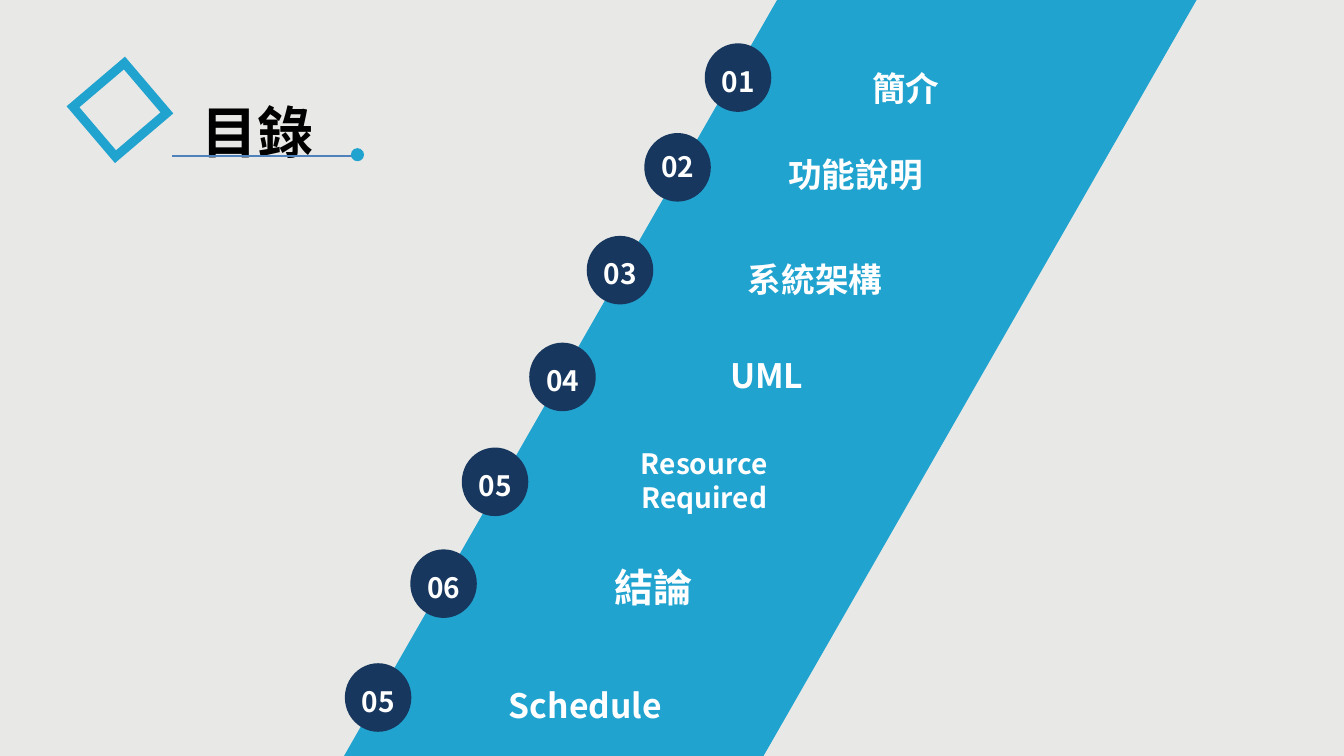
from lxml import etree
from pptx import Presentation, util as u
from pptx.dml.color import RGBColor
from pptx.enum import shapes, text
from pptx.oxml.ns import qn

W, H = u.Inches(13.33), u.Inches(7.5)
FONT = "Noto Sans CJK SC"
GREY = RGBColor(0xE8, 0xE8, 0xE6)
CYAN = RGBColor(0x21, 0xA3, 0xD0)
NAVY = RGBColor(0x17, 0x37, 0x5E)
RULE = RGBColor(0x4F, 0x81, 0xBD)
WHITE = RGBColor(0xFF, 0xFF, 0xFF)
BLACK = RGBColor(0, 0, 0)

# Percent of slide width and height
BADGE_W, BADGE_H = 4.95, 9.07
NUMBER_W, NUMBER_H = 8.55, 5.87

# number, badge x, badge y, number drop, label lines, label x, y, w, h, size
AGENDA = [
    ("01", 52.44, 5.73, 2.13, ["簡介"], 54.16, 8.27, 26.48, 6.67, 24),
    ("02", 47.94, 17.6, 1.47, ["功能說明"], 49.14, 19.73, 29.03, 6.67, 24),
    ("03", 43.66, 31.2, 2.13, ["系統架構"], 47.41, 33.6, 26.48, 6.67, 24),
    ("04", 39.38, 45.33, 2.13, ["UML"], 43.81, 46.27, 26.48, 6.67, 24),
    ("05", 34.36, 59.2, 2.13, ["Resource", "Required"],
     39.16, 58.4, 26.48, 10.27, 20),
    ("06", 30.53, 72.67, 2.13, ["結論"], 35.41, 73.87, 26.48, 7.6, 28),
    ("05", 25.66, 87.73, 2.13, ["Schedule"], 30.31, 90, 26.48, 6.67, 24),
]


def box(x, y, w, h):
    """Turn shares of the slide, in percent, into lengths."""
    return [int(side * share / 100)
            for side, share in zip((W, H, W, H), (x, y, w, h))]


def write(tf, lines, size, color, align, spacing=None):
    formats = {"word_wrap": True, "vertical_anchor": text.MSO_ANCHOR.TOP,
               "auto_size": text.MSO_AUTO_SIZE.SHAPE_TO_FIT_TEXT}
    for name, value in formats.items():
        setattr(tf, name, value)
    for i, line in enumerate(lines):
        p = tf.add_paragraph() if i else tf.paragraphs[0]
        p.alignment, p.line_spacing = align, spacing
        r = p.add_run()
        r.text = line
        for name, value in {"size": u.Pt(size), "name": FONT,
                            "bold": True}.items():
            setattr(r.font, name, value)
        r.font.color.rgb = color
        ea = etree.SubElement(r.font._element, qn("a:ea"))
        ea.set("typeface", FONT)


def paint(s, color, outline=None):
    s.shadow.inherit = False
    s.fill.solid()
    s.fill.fore_color.rgb = color
    if outline:
        s.line.color.rgb, s.line.width = outline, u.Pt(0.75)
    else:
        s.line.fill.background()


def add_preset(parent, kind, area, color, outline=None):
    s = parent.add_shape(kind, *box(*area))
    paint(s, color, outline)
    return s


def add_label(parent, lines, area, size):
    tx = parent.add_textbox(*box(*area))
    write(tx.text_frame, lines, size, WHITE, text.PP_ALIGN.CENTER)


def add_title(slide):
    title = slide.shapes.title
    title.left, title.top, title.width, title.height = box(
        14.25, 9.6, 15.23, 11.87)
    write(title.text_frame, ["目錄"], 40, BLACK, text.PP_ALIGN.LEFT, 1.3)


def add_tilted_frame(slide):
    x, y, w, h = box(6.08, 9.6, 5.7, 9.87)
    t = u.Inches(0.09)
    fb = slide.shapes.build_freeform(x, y)
    fb.add_line_segments([(x + w, y), (x + w, y + h), (x, y + h)])
    # The hole runs the other way round
    fb.move_to(x + t, y + t)
    fb.add_line_segments([(x + t, y + h - t), (x + w - t, y + h - t),
                          (x + w - t, y + t)])
    s = fb.convert_to_shape()
    s.rotation = 319.6
    paint(s, CYAN)


def add_title_rule(slide):
    right, y, left, _ = box(26.41, 20.67, 12.83, 0)
    c = slide.shapes.add_connector(shapes.MSO_CONNECTOR.STRAIGHT,
                                   right, y, left, y)
    c.line.color.rgb, c.line.width = RULE, u.Pt(1.5)
    etree.SubElement(c._element.spPr, qn("a:effectLst"))
    add_preset(slide.shapes, shapes.MSO_SHAPE.OVAL,
               (26.11, 19.6, 0.98, 1.73), CYAN)


def add_badge(slide, number, x, y, drop):
    group = slide.shapes.add_group_shape().shapes
    add_preset(group, shapes.MSO_SHAPE.OVAL, (x, y, BADGE_W, BADGE_H), NAVY)
    number_x = x + (BADGE_W - NUMBER_W) / 2
    add_label(group, [number], (number_x, y + drop, NUMBER_W, NUMBER_H), 20)


def main():
    prs = Presentation()
    prs.slide_width, prs.slide_height = W, H
    slide = prs.slides.add_slide(prs.slide_layouts[5])
    slide.background.fill.solid()
    slide.background.fill.fore_color.rgb = GREY

    # Heading
    add_title(slide)
    add_tilted_frame(slide)
    add_title_rule(slide)

    # Slanted band
    band = add_preset(slide.shapes, shapes.MSO_SHAPE.RECTANGLE,
                      (43.36, -32, 27.01, 166.8), CYAN, CYAN)
    band.rotation = 29.8

    # Agenda along the band
    for number, x, y, drop, lines, *area, size in AGENDA:
        add_label(slide.shapes, lines, area, size)
        add_badge(slide, number, x, y, drop)

    prs.save("out.pptx")


if __name__ == "__main__":
    main()
